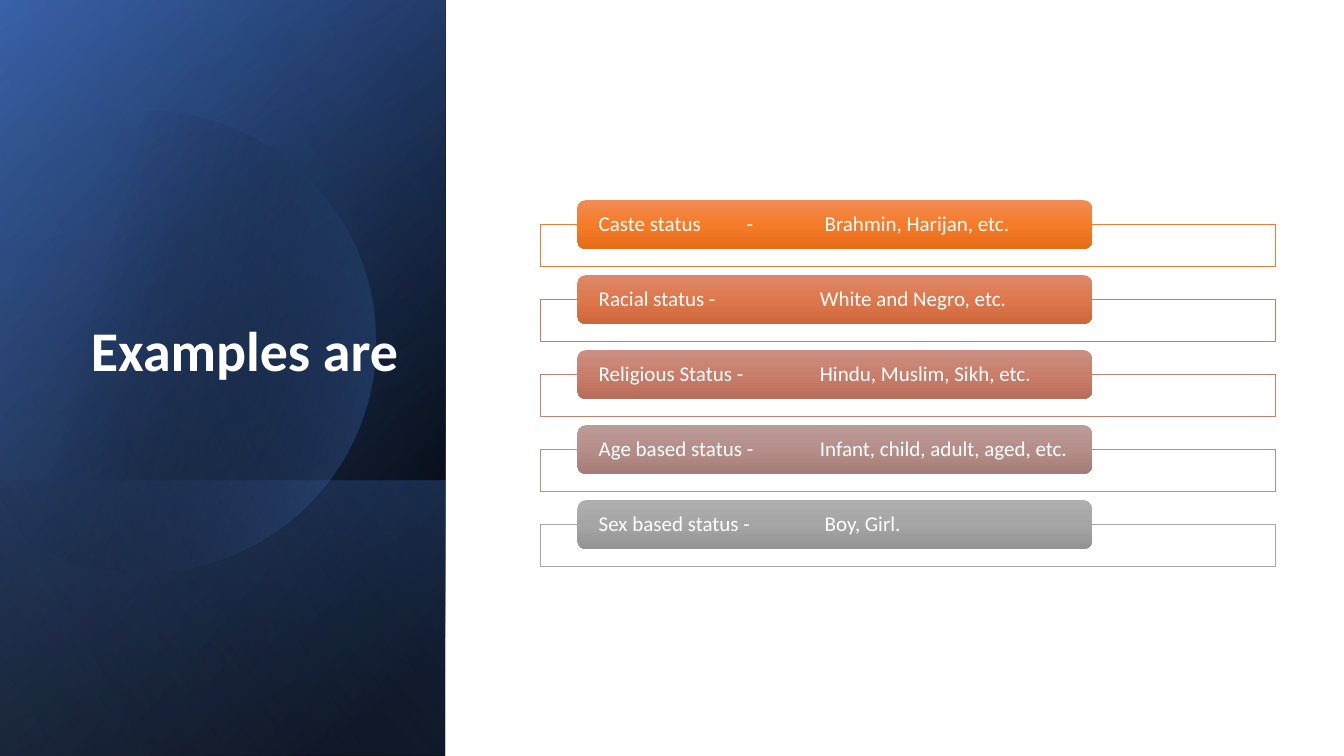
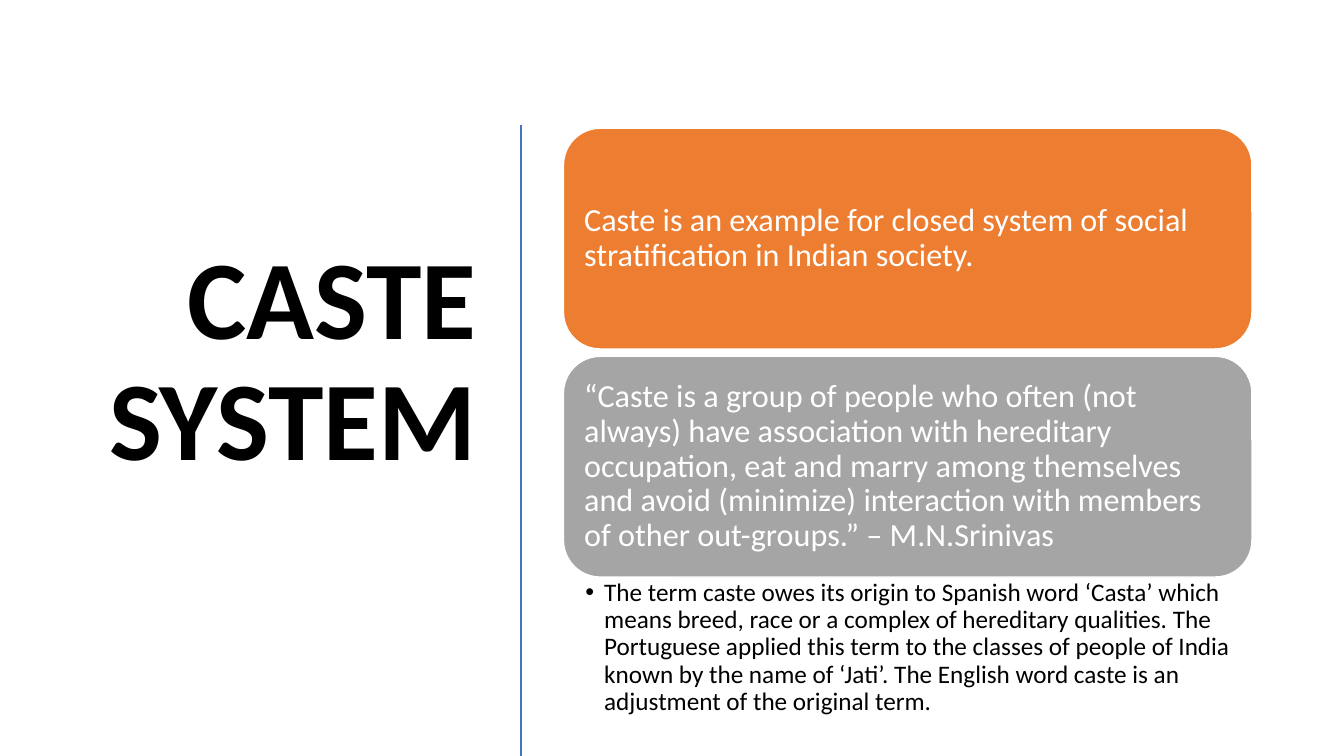
from dataclasses import dataclass
from math import acos, cos, sin

from lxml.etree import SubElement
from pptx import Presentation
from pptx.dml.color import RGBColor
from pptx.enum.shapes import MSO_CONNECTOR, MSO_SHAPE
from pptx.enum.text import MSO_ANCHOR, MSO_AUTO_SIZE, PP_ALIGN
from pptx.oxml import parse_xml
from pptx.oxml.ns import nsdecls, qn
from pptx.util import Pt


@dataclass(frozen=True)
class Theme:
    font: str = "Calibri"
    white: str = "FFFFFF"
    black: str = "000000"
    blue: str = "4472C4"
    deep_blue: str = "2F5597"
    pale_blue: str = "8FAADC"
    orange: str = "ED7D31"
    gray: str = "A5A5A5"
    row_size: int = 15
    card_size: int = 23
    body_size: int = 18
    line_spacing: float = 0.9


THEME = Theme()

# Text, outline colour, gradient from top to bottom
STATUS_ROWS = [
    ("Caste status\t-\t Brahmin, Harijan, etc.", THEME.orange, ("F18C57", "F67B28", "E56C19")),
    ("Racial status - \tWhite and Negro, etc.", "D87A51", ("DD8A6A", "DE774B", "CD673B")),
    ("Religious Status - \tHindu, Muslim, Sikh, etc.", "C48170", ("CB8F81", "C97E6B", "B76D5B")),
    ("Age based status - \tInfant, child, adult, aged, etc.", "B4908B", ("BC9C99", "B68E89", "A47C78")),
    ("Sex based status -\t Boy, Girl.", THEME.gray, ("AFAFAF", "A5A5A5", "939393")),
]
CASTE_CARDS = [
    ("Caste is an example for closed system of social stratification in Indian society.", THEME.orange),
    ("“Caste is a group of people who often (not always) have association with hereditary "
     "occupation, eat and marry among themselves and avoid (minimize) interaction with members "
     "of other out-groups.” – M.N.Srinivas", THEME.gray),
]
CASTE_ORIGIN = (
    "The term caste owes its origin to Spanish word ‘Casta’ which means breed, race or a complex "
    "of hereditary qualities. The Portuguese applied this term to the classes of people of India "
    "known by the name of ‘Jati’. The English word caste is an adjustment of the original term."
)


def rgb(color):
    return RGBColor.from_string(color)


def fill_gradient(shape, stops, angle):
    """Fill with (position %, colour, opacity %) stops, angle clockwise in degrees."""
    stop_xml = "".join(
        f'<a:gs pos="{position * 1000}"><a:srgbClr val="{color}">'
        f'<a:alpha val="{opacity * 1000}"/></a:srgbClr></a:gs>'
        for position, color, opacity in stops
    )
    gradient = parse_xml(
        f'<a:gradFill {nsdecls("a")} rotWithShape="1"><a:gsLst>{stop_xml}</a:gsLst>'
        f'<a:lin ang="{angle * 60000}" scaled="0"/></a:gradFill>'
    )
    shape.fill.background()
    properties = shape._element.spPr
    properties.replace(properties.find(qn("a:noFill")), gradient)


def set_outline(shape, color=None, width=0.5):
    shape.shadow.inherit = False
    if color:
        shape.line.color.rgb = rgb(color)
        shape.line.width = Pt(width)
    else:
        shape.line.fill.background()


def add_block(slide, kind, box, fill=None, outline=None, width=0.5):
    block = slide.shapes.add_shape(kind, *map(Pt, box))
    if fill:
        block.fill.solid()
        block.fill.fore_color.rgb = rgb(fill)
    set_outline(block, outline, width)
    return block


def write_text(holder, text, size, color, insets, anchor=MSO_ANCHOR.MIDDLE,
               align=PP_ALIGN.LEFT, bold=False):
    """Set one paragraph with insets left, top, right, bottom; return it."""
    frame = holder.text_frame
    frame.word_wrap = True
    frame.auto_size = MSO_AUTO_SIZE.NONE
    frame.vertical_anchor = anchor
    (frame.margin_left, frame.margin_top,
     frame.margin_right, frame.margin_bottom) = map(Pt, insets)
    paragraph = frame.paragraphs[0]
    paragraph.alignment = align
    paragraph.line_spacing = THEME.line_spacing
    run = paragraph.add_run()
    run.text = text
    run.font.name = THEME.font
    run.font.size = Pt(size)
    run.font.bold = bold
    run.font.color.rgb = rgb(color)
    return paragraph


def set_tabs(paragraph, positions):
    tab_list = SubElement(paragraph._p.get_or_add_pPr(), qn("a:tabLst"))
    for position in positions:
        SubElement(tab_list, qn("a:tab"), pos=str(Pt(position)), algn="l")


def set_bullet(paragraph, indent):
    properties = paragraph._p.get_or_add_pPr()
    properties.set("marL", str(Pt(indent)))
    properties.set("indent", str(-Pt(indent)))
    SubElement(properties, qn("a:buFont"), typeface="Arial")
    SubElement(properties, qn("a:buChar"), char="•")


def add_title(slide, text, box, size, color, anchor):
    """Format the title placeholder and bring it to the front."""
    title = slide.shapes.title
    title.left, title.top, title.width, title.height = map(Pt, box)
    write_text(title, text, size, color, (7.2, 3.6, 7.2, 3.6), anchor, PP_ALIGN.RIGHT, bold=True)
    slide.shapes._spTree.append(title._element)


def add_panel_layer(slide, box, stops, angle):
    fill_gradient(add_block(slide, MSO_SHAPE.RECTANGLE, box), stops, angle)


def add_panel_circle(slide):
    """Draw the circle that the left slide edge cuts off."""
    center_x, center_y, radius, steps = 103, 244, 165, 90
    reach = acos(-center_x / radius)
    angles = [reach * (2 * step / steps - 1) for step in range(steps + 1)]
    points = [(Pt(center_x + radius * cos(angle)), Pt(center_y + radius * sin(angle)))
              for angle in angles]
    builder = slide.shapes.build_freeform(*points[0])
    builder.add_line_segments(points[1:], close=True)
    circle = builder.convert_to_shape()
    fill_gradient(circle, [(29, THEME.black, 0), (100, THEME.blue, 43)], 14)
    set_outline(circle)


def add_side_panel(slide):
    panel = (0, 0, 318, 540)
    lower_band = (0, 343, 318, 197)
    add_panel_layer(slide, panel, [(8, THEME.black, 100), (100, THEME.deep_blue, 100)], 220)
    add_panel_layer(slide, panel, [(0, THEME.black, 0), (99, THEME.blue, 46)], 240)
    add_panel_layer(slide, lower_band, [(2, THEME.blue, 29), (100, THEME.black, 30)], 140)
    add_panel_circle(slide)
    add_panel_layer(slide, panel, [(0, THEME.black, 0), (99, THEME.pale_blue, 11)], 150)


def add_status_row(slide, top, text, outline, shades):
    add_block(slide, MSO_SHAPE.RECTANGLE, (386, top + 17.3, 525, 30), THEME.white, outline)
    label = add_block(slide, MSO_SHAPE.ROUNDED_RECTANGLE, (412.5, top, 367.5, 34.8))
    fill_gradient(label, [(50 * i, shade, 100) for i, shade in enumerate(shades)], 90)
    paragraph = write_text(label, text, THEME.row_size, THEME.white, (13.5, 0, 0, 0))
    set_tabs(paragraph, (105.7, 158) if text.count("\t") == 2 else (158,))


def add_card(slide, top, text, fill):
    card = add_block(slide, MSO_SHAPE.ROUNDED_RECTANGLE, (402.5, top, 491.8, 157.7),
                     fill, THEME.white, 1)
    write_text(card, text, THEME.card_size, THEME.white, (7.2,) * 4)


def add_divider(slide, x, top, bottom):
    divider = slide.shapes.add_connector(MSO_CONNECTOR.STRAIGHT, Pt(x), Pt(top), Pt(x), Pt(bottom))
    divider.line.color.rgb = rgb(THEME.blue)
    divider.line.width = Pt(2)
    SubElement(divider._element.spPr, qn("a:effectLst"))


def build_examples(slide):
    add_side_panel(slide)
    add_title(slide, "Examples are", (46, 132.5, 245.5, 145), 40, THEME.white, MSO_ANCHOR.BOTTOM)
    for index, row in enumerate(STATUS_ROWS):
        add_status_row(slide, 143 + 53.58 * index, *row)


def build_caste_system(slide):
    add_title(slide, "CASTE SYSTEM", (37.5, 84, 310, 352), 80, THEME.black, MSO_ANCHOR.MIDDLE)
    add_divider(slide, 372.2, 89, 540)
    for index, card in enumerate(CASTE_CARDS):
        add_card(slide, 91.6 + 162.9 * index, *card)
    origin = slide.shapes.add_textbox(Pt(402.5), Pt(412), Pt(491.8), Pt(105))
    paragraph = write_text(origin, CASTE_ORIGIN, THEME.body_size, THEME.black,
                           (15.6, 2, 13, 2), MSO_ANCHOR.TOP)
    set_bullet(paragraph, 13.5)


def main():
    deck = Presentation()
    deck.slide_width, deck.slide_height = Pt(960), Pt(540)
    title_only = deck.slide_layouts[5]
    for build in (build_examples, build_caste_system):
        build(deck.slides.add_slide(title_only))
    deck.save("out.pptx")


if __name__ == "__main__":
    main()
